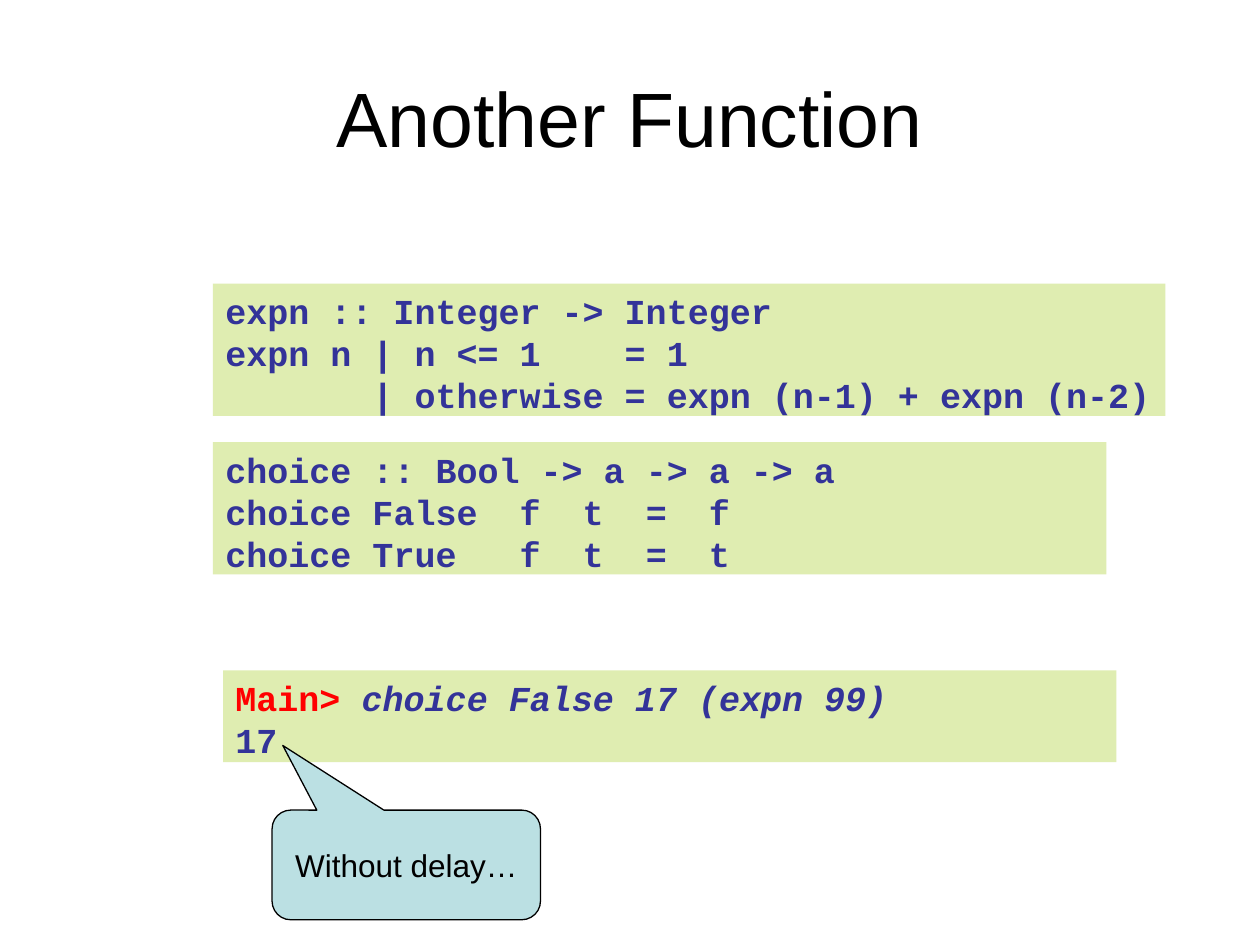
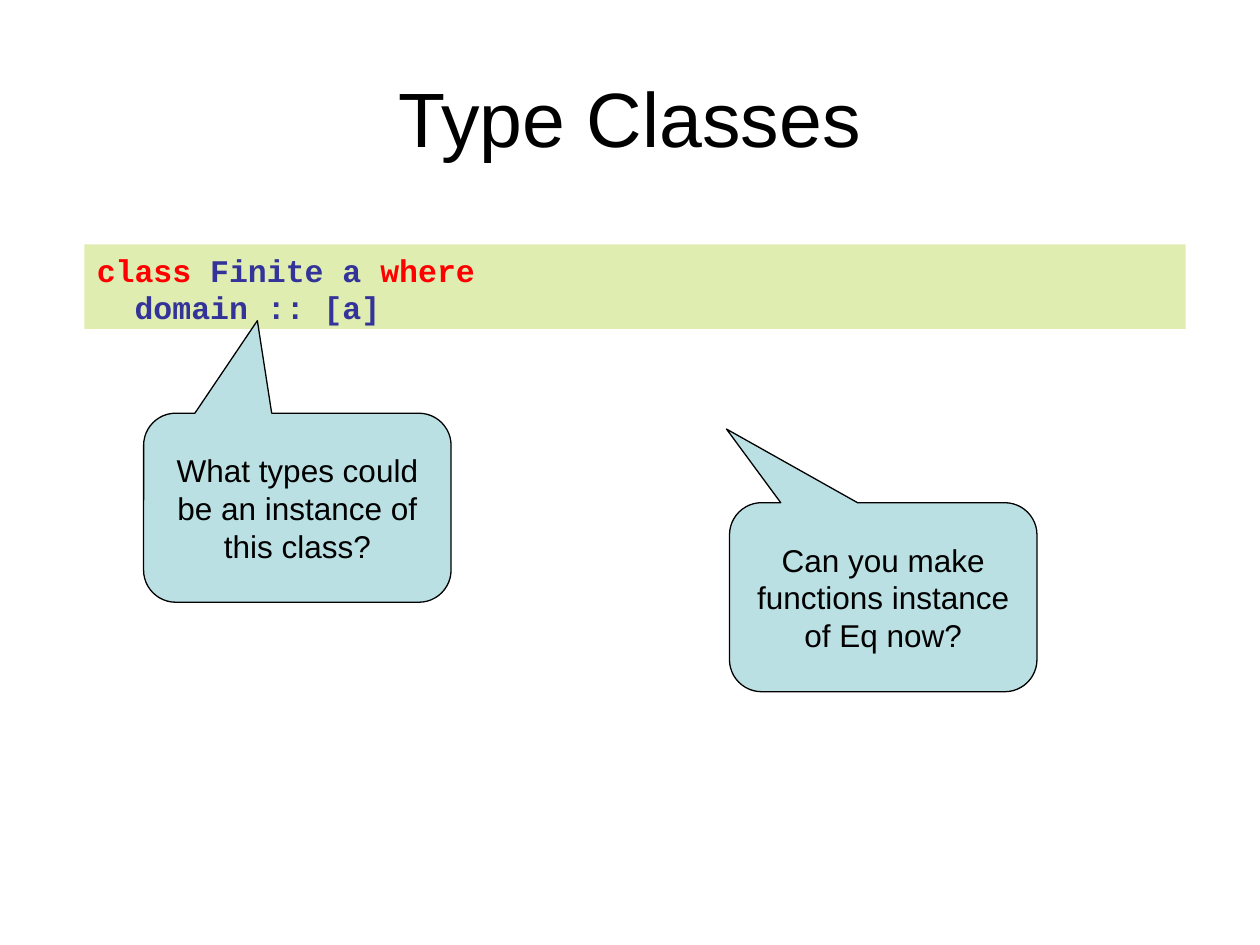
from pptx import Presentation
from pptx.dml.color import RGBColor
from pptx.enum.shapes import MSO_SHAPE
from pptx.enum.text import MSO_ANCHOR, PP_ALIGN
from pptx.util import Inches, Pt

BLACK = RGBColor(0x00, 0x00, 0x00)
RED = RGBColor(0xFF, 0x00, 0x00)
NAVY = RGBColor(0x33, 0x33, 0x99)
GREEN = RGBColor(0xDF, 0xED, 0xB1)
AQUA = RGBColor(0xBB, 0xE0, 0xE3)

# Each code line is a list of (text, colour, italic) runs.
EXPN = [
    [("expn :: Integer -> Integer", NAVY, False)],
    [("expn n | n <= 1    = 1", NAVY, False)],
    [("       | otherwise = expn (n-1) + expn (n-2)", NAVY, False)],
]
CHOICE = [
    [("choice :: Bool -> a -> a -> a", NAVY, False)],
    [("choice False  f  t  =  f", NAVY, False)],
    [("choice True   f  t  =  t", NAVY, False)],
]
PROMPT = [
    [("Main> ", RED, False), ("choice False 17 (expn 99)", NAVY, True)],
    [("17", NAVY, False)],
]
FINITE = [
    [("class", RED, False), (" Finite a ", NAVY, False), ("where", RED, False)],
    [("  domain :: [a]", NAVY, False)],
]

# Code blocks: box, text size, lines. Callouts: box, pointer tip, text.
SLIDES = [
    ("Another Function",
     [((1.69, 2.25, 7.56, 1.05), 20, EXPN),
      ((1.77, 5.32, 7.09, 0.73), 20, PROMPT),
      ((1.69, 3.51, 7.09, 1.05), 20, CHOICE)],
     [((2.16, 6.43, 2.13, 0.87), (-0.46, -1.09), "Without delay…")]),
    ("Type Classes",
     [((0.67, 1.94, 8.74, 0.67), 18, FINITE)],
     [((1.14, 3.28, 2.44, 1.5), (-0.13, -0.99),
       "What types could be an instance of this class?"),
      ((5.79, 3.99, 2.44, 1.5), (-0.51, -0.89),
       "Can you make functions instance of Eq now?")]),
]


def add_box(slide, kind, box, fill):
    shape = slide.shapes.add_shape(kind, *map(Inches, box))
    shape.shadow.inherit = False
    shape.fill.solid()
    shape.fill.fore_color.rgb = fill
    shape.text_frame.word_wrap = True
    return shape


def set_label(frame, text, size):
    """Write one centred black paragraph in the middle of a frame."""
    frame.word_wrap = True
    frame.vertical_anchor = MSO_ANCHOR.MIDDLE
    para = frame.paragraphs[0]
    para.text = text
    para.alignment = PP_ALIGN.CENTER
    para.font.name = "Arial"
    para.font.size = Pt(size)
    para.font.color.rgb = BLACK


deck = Presentation()
deck.slide_width = Inches(10)
deck.slide_height = Inches(7.5)

for title, blocks, callouts in SLIDES:
    slide = deck.slides.add_slide(deck.slide_layouts[6])
    head = slide.shapes.add_textbox(*map(Inches, (0.5, 0.3, 9, 1.25)))
    set_label(head.text_frame, title, 44)

    for box, size, lines in blocks:
        block = add_box(slide, MSO_SHAPE.RECTANGLE, box, GREEN)
        block.line.fill.background()
        frame = block.text_frame
        frame.vertical_anchor = MSO_ANCHOR.TOP
        for i, line in enumerate(lines):
            para = frame.add_paragraph() if i else frame.paragraphs[0]
            para.alignment = PP_ALIGN.LEFT
            para.font.name = "Courier New"
            para.font.size = Pt(size)
            para.font.bold = True
            for text, color, italic in line:
                run = para.add_run()
                run.text = text
                run.font.color.rgb = color
                run.font.italic = italic

    for box, tip, text in callouts:
        bubble = add_box(slide, MSO_SHAPE.ROUNDED_RECTANGULAR_CALLOUT, box, AQUA)
        bubble.line.color.rgb = BLACK
        bubble.line.width = Pt(0.75)
        for i, value in enumerate((*tip, 0.17)):
            bubble.adjustments[i] = value
        set_label(bubble.text_frame, text, 18)

deck.save("out.pptx")
